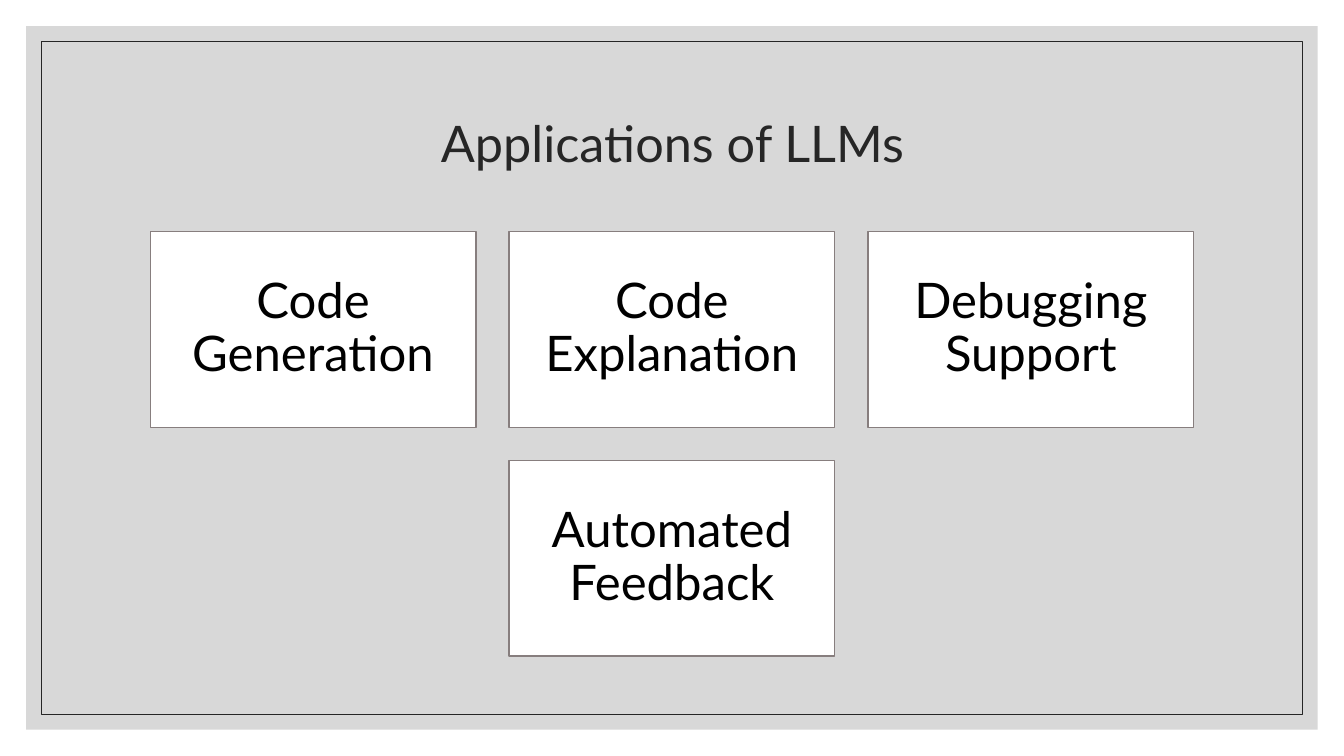
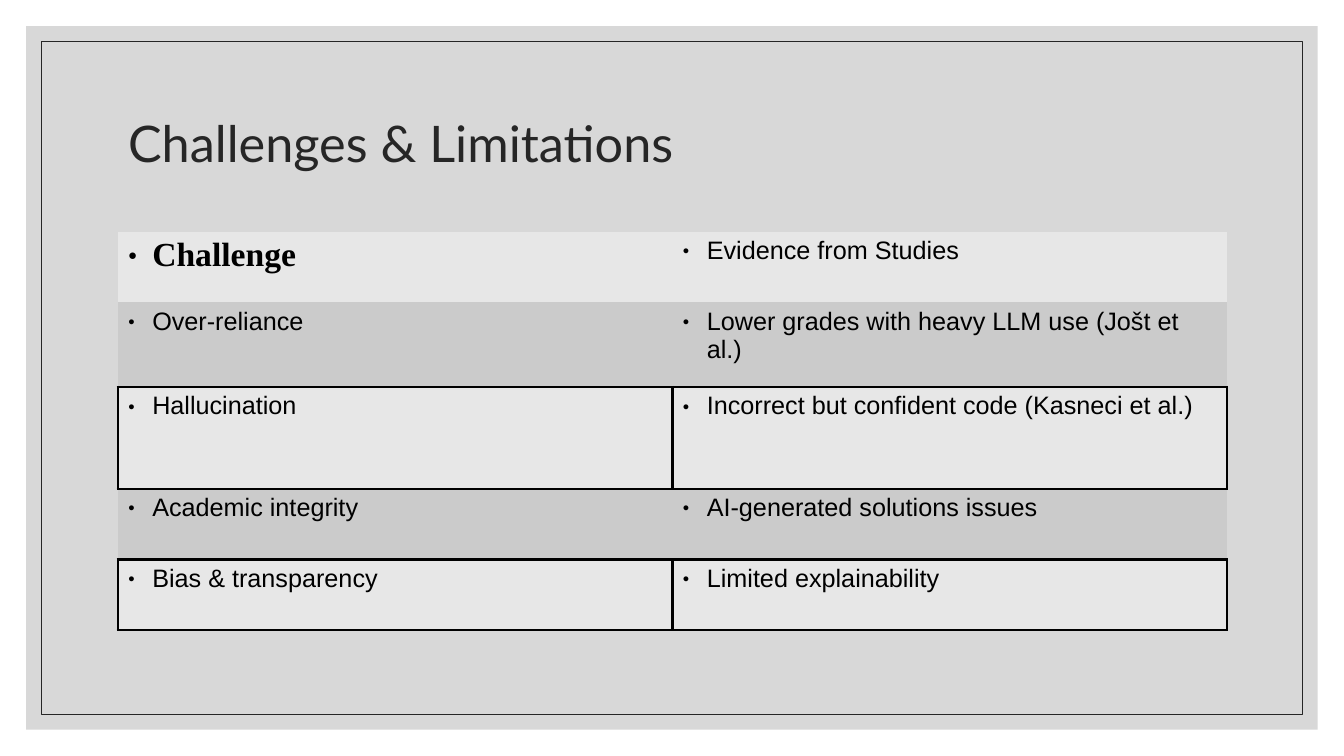
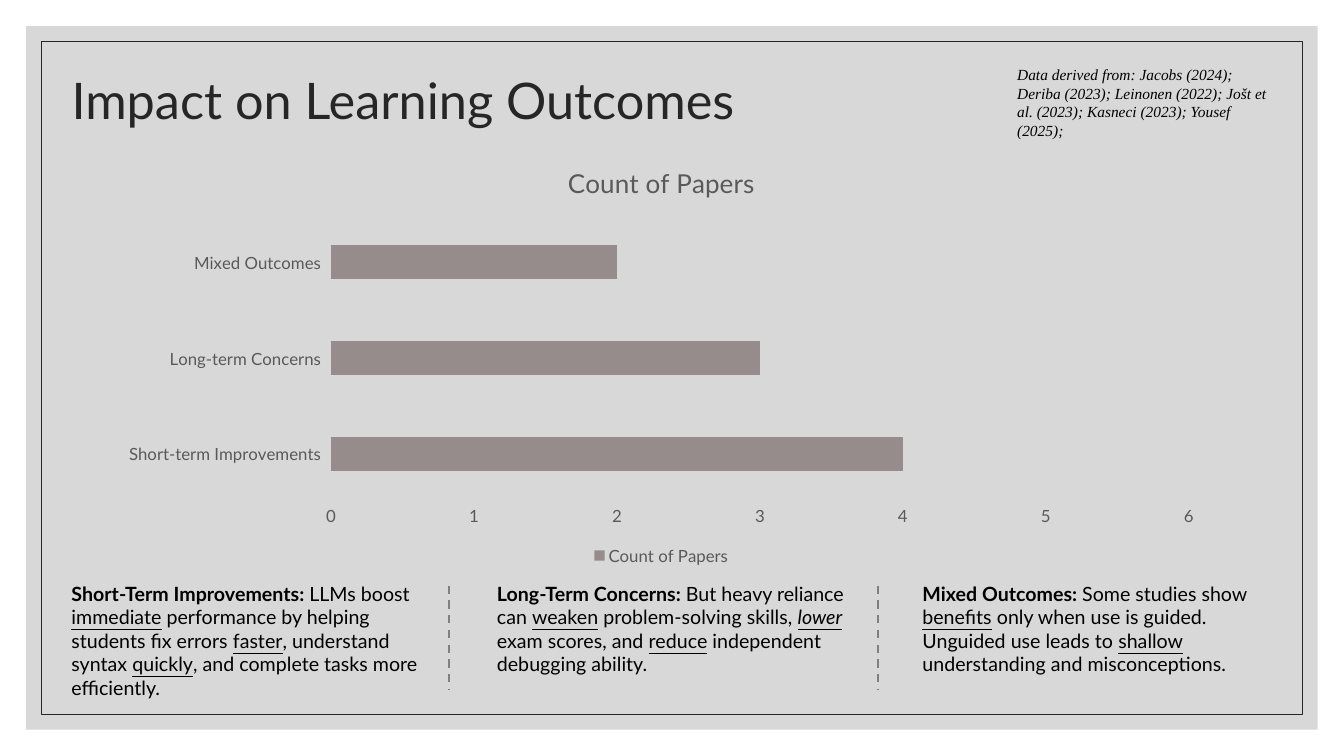
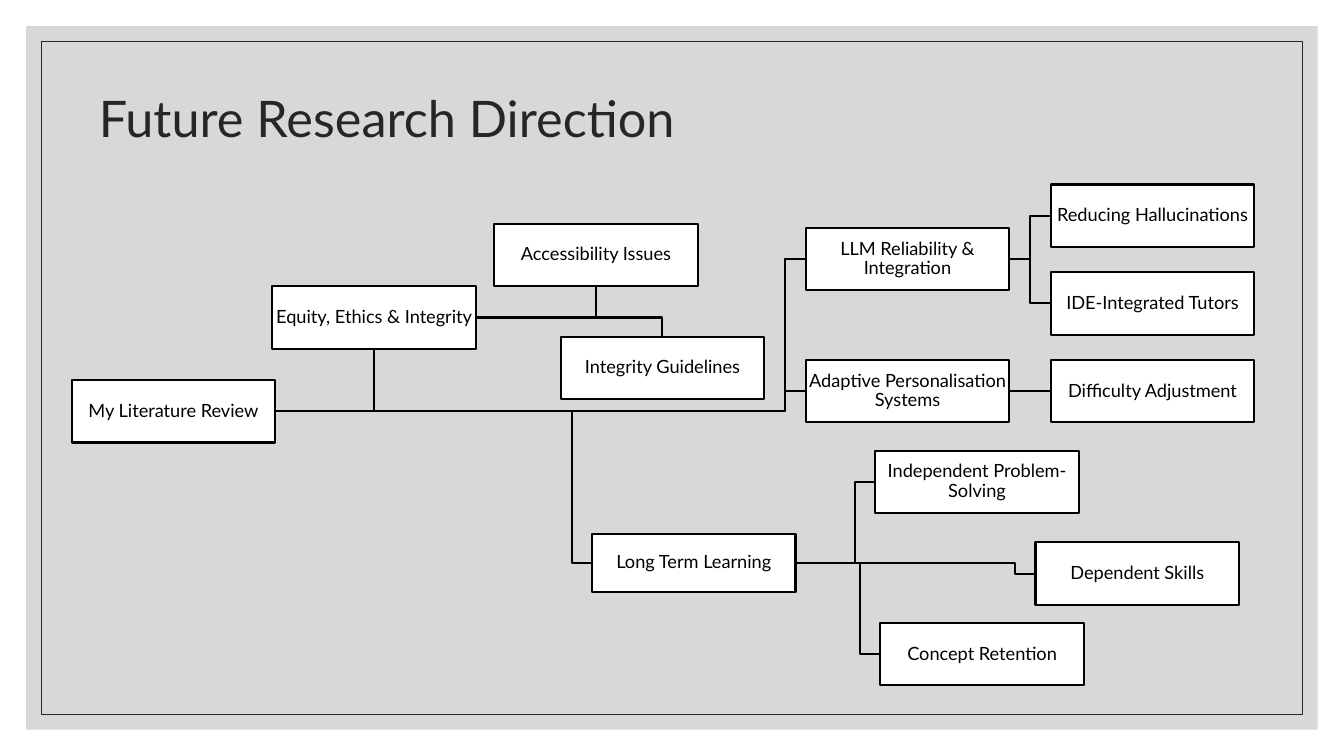
from lxml import etree
from pptx import Presentation
from pptx.chart.data import CategoryChartData
from pptx.dml.color import RGBColor
from pptx.enum.chart import XL_CHART_TYPE, XL_LEGEND_POSITION, XL_TICK_LABEL_POSITION, XL_TICK_MARK
from pptx.enum.dml import MSO_LINE
from pptx.enum.shapes import MSO_CONNECTOR, MSO_SHAPE
from pptx.enum.text import MSO_ANCHOR, MSO_AUTO_SIZE, PP_ALIGN
from pptx.oxml.ns import qn
from pptx.util import Inches, Pt

RECT = MSO_SHAPE.RECTANGLE
STRAIGHT = MSO_CONNECTOR.STRAIGHT
DASH = MSO_LINE.DASH
MIDDLE = MSO_ANCHOR.MIDDLE
LEFT, CENTER = PP_ALIGN.LEFT, PP_ALIGN.CENTER
GROW = MSO_AUTO_SIZE.SHAPE_TO_FIT_TEXT
BAR = XL_CHART_TYPE.BAR_CLUSTERED
BOTTOM = XL_LEGEND_POSITION.BOTTOM
LOW = XL_TICK_LABEL_POSITION.LOW
NO_TICK = XL_TICK_MARK.NONE

BLACK = RGBColor(0x00, 0x00, 0x00)
WHITE = RGBColor(0xFF, 0xFF, 0xFF)
INK = RGBColor(0x26, 0x26, 0x26)
PANEL = RGBColor(0xBF, 0xBF, 0xBF)
EDGE = RGBColor(0x87, 0x7E, 0x7E)
LIGHT = RGBColor(0xE7, 0xE7, 0xE7)
DARK = RGBColor(0xCB, 0xCB, 0xCB)
MAUVE = RGBColor(0x96, 0x8C, 0x8C)
GREY = RGBColor(0x59, 0x59, 0x59)
GRID = RGBColor(0xD9, 0xD9, 0xD9)
RULE = RGBColor(0x7F, 0x7F, 0x7F)

SANS, SERIF, PLAIN = "Lato", "Times New Roman", "Arial"
WIDE, HIGH = 13.33, 7.5
NO_GRID = "{2D5ABB26-0587-4C30-8999-92F81FD0307C}"

CARDS = ["Code Generation", "Code Explanation", "Debugging Support", "Automated Feedback"]

ROWS = [
    (0.70, False, "Challenge", "Evidence from Studies"),
    (0.84, False, "Over-reliance", "Lower grades with heavy LLM use (Jošt et al.)"),
    (1.01, True, "Hallucination", "Incorrect but confident code (Kasneci et al.)"),
    (0.70, False, "Academic integrity", "AI-generated solutions issues"),
    (0.70, True, "Bias & transparency", "Limited explainability"),
]

SERIES = "Count of Papers"
COUNTS = {"Short-term Improvements": 4, "Long-term Concerns": 3, "Mixed Outcomes": 2}
CREDIT = ("Data derived from: Jacobs (2024); Deriba (2023); Leinonen (2022); "
          "Jošt et al. (2023); Kasneci (2023); Yousef (2025);")
NOTES = [
    (0.61, 1.51, [
        ("Short-Term Improvements: ", "b"), ("LLMs boost ", ""), ("immediate", "u"),
        (" performance by helping students fix errors ", ""), ("faster", "u"),
        (", understand syntax ", ""), ("quickly", "u"),
        (", and complete tasks more efficiently.", "")]),
    (4.83, 1.04, [
        ("Long-Term Concerns: ", "b"), ("But heavy reliance can ", ""), ("weaken", "u"),
        (" problem-solving skills, ", ""), ("lower", "iu"), (" exam scores, and ", ""),
        ("reduce", "u"), (" independent debugging ability.", "")]),
    (9.05, 1.27, [
        ("Mixed Outcomes: ", "b"), ("Some studies show ", ""), ("benefits", "u"),
        (" only when use is guided. Unguided use leads to ", ""), ("shallow", "u"),
        (" understanding and misconceptions.", "")]),
]
RULES = [4.45, 8.71]

NODE_W, NODE_H, BEND = 2.02, 0.62, 0.2
NODES = {
    "review": ("My Literature Review", 0.71, 3.77, NODE_H),
    "trust": ("LLM Reliability & Integration", 7.99, 2.26, NODE_H),
    "halluc": ("Reducing Hallucinations", 10.42, 1.83, NODE_H),
    "tutors": ("IDE-Integrated Tutors", 10.42, 2.70, NODE_H),
    "adapt": ("Adaptive Personalisation Systems", 7.99, 3.57, NODE_H),
    "adjust": ("Difficulty Adjustment", 10.42, 3.57, NODE_H),
    "learn": ("Long Term Learning", 5.87, 5.30, 0.57),
    "solve": ("Independent Problem-Solving", 8.68, 4.47, NODE_H),
    "skills": ("Dependent Skills", 10.27, 5.38, NODE_H),
    "retain": ("Concept Retention", 8.73, 6.18, NODE_H),
    "ethics": ("Equity, Ethics & Integrity", 2.70, 2.84, NODE_H),
    "access": ("Accessibility Issues", 4.90, 2.22, NODE_H),
    "guide": ("Integrity Guidelines", 5.56, 3.34, NODE_H),
}
SIDE = {
    "review": ["learn", "adapt", "trust"],
    "learn": ["retain", "skills", "solve"],
    "adapt": ["adjust"],
    "trust": ["tutors", "halluc"],
}
DROP = {"review": ["ethics"], "ethics": ["guide", "access"]}


def inch(*nums):
    return [Inches(n) for n in nums]


def style(font, size, face, color, bold=False):
    font.size, font.name, font.bold = Pt(size), face, bold
    font.color.rgb = color


def write(par, text, size, face=SANS, color=BLACK, look=""):
    run = par.add_run()
    run.text = text
    style(run.font, size, face, color, "b" in look)
    run.font.italic = "i" in look
    run.font.underline = "u" in look


def stroke(line, color, width):
    line.color.rgb = color
    line.width = Pt(width)


def rect(slide, x, y, w, h, fill=None, edge=None, width=1):
    shape = slide.shapes.add_shape(RECT, *inch(x, y, w, h))
    shape.shadow.inherit = False
    if fill is None:
        shape.fill.background()
    else:
        shape.fill.solid()
        shape.fill.fore_color.rgb = fill
    if edge is None:
        shape.line.fill.background()
    else:
        stroke(shape.line, edge, width)
    return shape


def label(slide, text, spot, size, pad, after, edge, width):
    frame = rect(slide, *spot, WHITE, edge, width).text_frame
    frame.word_wrap = True
    frame.vertical_anchor = MIDDLE
    frame.margin_left = frame.margin_right = Inches(pad)
    frame.margin_top = frame.margin_bottom = Inches(pad)
    par = frame.paragraphs[0]
    par.alignment, par.line_spacing, par.space_after = CENTER, 0.9, Pt(after)
    write(par, text, size)


def line(slide, start, end, color, width):
    link = slide.shapes.add_connector(STRAIGHT, *inch(*start, *end))
    stroke(link.line, color, width)
    etree.SubElement(link.element.spPr, qn("a:effectLst"))
    return link


def textbox(slide, x, y, w, h):
    frame = slide.shapes.add_textbox(*inch(x, y, w, h)).text_frame
    frame.word_wrap = True
    frame.auto_size = GROW
    return frame.paragraphs[0]


def dress(layout, slide):
    for holder in list(layout.placeholders):
        if holder.placeholder_format.idx:
            layout.shapes.element.remove(holder.element)
    panel = rect(slide, 0.26, 0.26, WIDE - 0.52, HIGH - 0.52, PANEL)
    tint = panel.element.spPr.find(".//" + qn("a:srgbClr"))
    etree.SubElement(tint, qn("a:alpha"), val="60000")
    border = rect(slide, 0.41, 0.41, WIDE - 0.82, HIGH - 0.82, None, INK, 0.5)
    for spot, shape in enumerate((panel, border), 2):
        layout.shapes.element.insert(spot, shape.element)


def head(slide, text, x, y, align=LEFT):
    title = slide.shapes.title
    title.left, title.top, title.width, title.height = inch(x, y, 11, 1.5)
    title.text_frame.vertical_anchor = MIDDLE
    par = title.text_frame.paragraphs[0]
    par.alignment, par.line_spacing = align, 0.9
    write(par, text, 36, SANS, INK)


def uses(slide):
    head(slide, "Applications of LLMs", 1.17, 0.7, CENTER)
    w, h, gap, cols = 3.23, 1.94, 0.33, 3
    for i, text in enumerate(CARDS):
        row, col = divmod(i, cols)
        count = min(cols, len(CARDS) - row * cols)
        x = (WIDE - count * w - (count - 1) * gap) / 2 + col * (w + gap)
        label(slide, text, (x, 2.3 + row * (h + gap), w, h), 35, 0.15, 15, EDGE, 1)


def bullet(par):
    props = par._p.get_or_add_pPr()
    props.set("marL", str(Inches(0.24)))
    props.set("indent", str(-Inches(0.24)))
    color = etree.SubElement(props, qn("a:buClr"))
    etree.SubElement(color, qn("a:srgbClr"), val=str(BLACK))
    etree.SubElement(props, qn("a:buSzPct"), val="45000")
    etree.SubElement(props, qn("a:buFont"), typeface=PLAIN)
    etree.SubElement(props, qn("a:buChar"), char="●")


def outline(cell):
    props = cell._tc.get_or_add_tcPr()
    for i, side in enumerate("LRTB"):
        edge = etree.Element(qn("a:ln" + side), w=str(Pt(1.98)))
        fill = etree.SubElement(edge, qn("a:solidFill"))
        etree.SubElement(fill, qn("a:srgbClr"), val=str(BLACK))
        props.insert(i, edge)


def limits(slide):
    head(slide, "Challenges & Limitations", 1.17, 0.7)
    tall = sum(row[0] for row in ROWS)
    frame = slide.shapes.add_table(len(ROWS), 2, *inch(1.17, 2.3, 11, tall))
    frame.element.find(".//" + qn("a:tableStyleId")).text = NO_GRID
    table = frame.table
    for r, (high, boxed, *texts) in enumerate(ROWS):
        table.rows[r].height = Inches(high)
        for c, text in enumerate(texts):
            cell = table.cell(r, c)
            cell.fill.solid()
            cell.fill.fore_color.rgb = DARK if r % 2 else LIGHT
            if boxed:
                outline(cell)
            par = cell.text_frame.paragraphs[0]
            bullet(par)
            if r == c == 0:
                write(par, text, 24, SERIF, BLACK, "b")
            else:
                write(par, text, 18, PLAIN)


def plot(slide):
    data = CategoryChartData()
    data.categories = list(COUNTS)
    data.add_series(SERIES, list(COUNTS.values()))
    chart = slide.shapes.add_chart(BAR, *inch(1.06, 1.44, 11, 4.21), data).chart
    style(chart.font, 10, PLAIN, BLACK)
    chart.has_title = True
    write(chart.chart_title.text_frame.paragraphs[0], SERIES, 18.6, SANS, GREY)
    chart.chart_title.include_in_layout = False
    chart.has_legend = True
    chart.legend.position = BOTTOM
    chart.legend.include_in_layout = False
    style(chart.legend.font, 12, SANS, GREY)
    bars = chart.plots[0]
    bars.gap_width = 182
    bars.vary_by_categories = False
    fill = bars.series[0].format.fill
    fill.solid()
    fill.fore_color.rgb = MAUVE
    cats, vals = chart.category_axis, chart.value_axis
    for axis in (cats, vals):
        style(axis.tick_labels.font, 12, SANS, GREY)
        axis.major_tick_mark = axis.minor_tick_mark = NO_TICK
    cats.tick_label_position = LOW
    stroke(cats.format.line, GRID, 0.75)
    vals.minimum_scale, vals.maximum_scale, vals.major_unit = 0, 6, 1
    vals.format.line.fill.background()
    stroke(vals.major_gridlines.format.line, GRID, 0.75)


def impact(slide):
    head(slide, "Impact on Learning Outcomes", 0.61, 0.27)
    plot(slide)
    write(textbox(slide, 9.99, 0.6, 2.73, 0.84), CREDIT, 11, SERIF, BLACK, "i")
    for x, high, runs in NOTES:
        par = textbox(slide, x, 5.72, 3.68, high)
        for text, look in runs:
            write(par, text, 14, look=look)
    for x in RULES:
        line(slide, (x, 5.81), (x, 6.84), RULE, 1.5).line.dash_style = DASH


def bend(slide, points):
    spots = [inch(*p) for p in points]
    draft = slide.shapes.build_freeform(*spots[0])
    draft.add_line_segments(spots[1:], close=False)
    shape = draft.convert_to_shape()
    shape.shadow.inherit = False
    shape.fill.background()
    stroke(shape.line, BLACK, 1.5)


def links(tree):
    for name, kids in tree.items():
        _, x, y, h = NODES[name]
        for kid in kids:
            yield x + NODE_W, y + h / 2, NODES[kid][1:]


def future(slide):
    head(slide, "Future Research Direction", 0.88, 0.45)
    for x, y, (left, top, h) in links(DROP):
        mid = left + NODE_W / 2
        bend(slide, [(x, y), (mid, y), (mid, top if top > y else top + h)])
    for x, y, (left, top, h) in links(SIDE):
        end = top + h / 2
        if end == y:
            line(slide, (x, y), (left, y), BLACK, 1.5)
        else:
            turn = left - BEND
            bend(slide, [(x, y), (turn, y), (turn, end), (left, end)])
    for text, x, y, h in NODES.values():
        label(slide, text, (x, y, NODE_W, h), 13, 0.01, 5, BLACK, 1.5)


def main():
    deck = Presentation()
    deck.slide_width, deck.slide_height = inch(WIDE, HIGH)
    layout = deck.slide_layouts[5]
    for i, build in enumerate((uses, limits, impact, future)):
        slide = deck.slides.add_slide(layout)
        if i == 0:
            dress(layout, slide)
        build(slide)
    deck.save("out.pptx")


if __name__ == "__main__":
    main()
